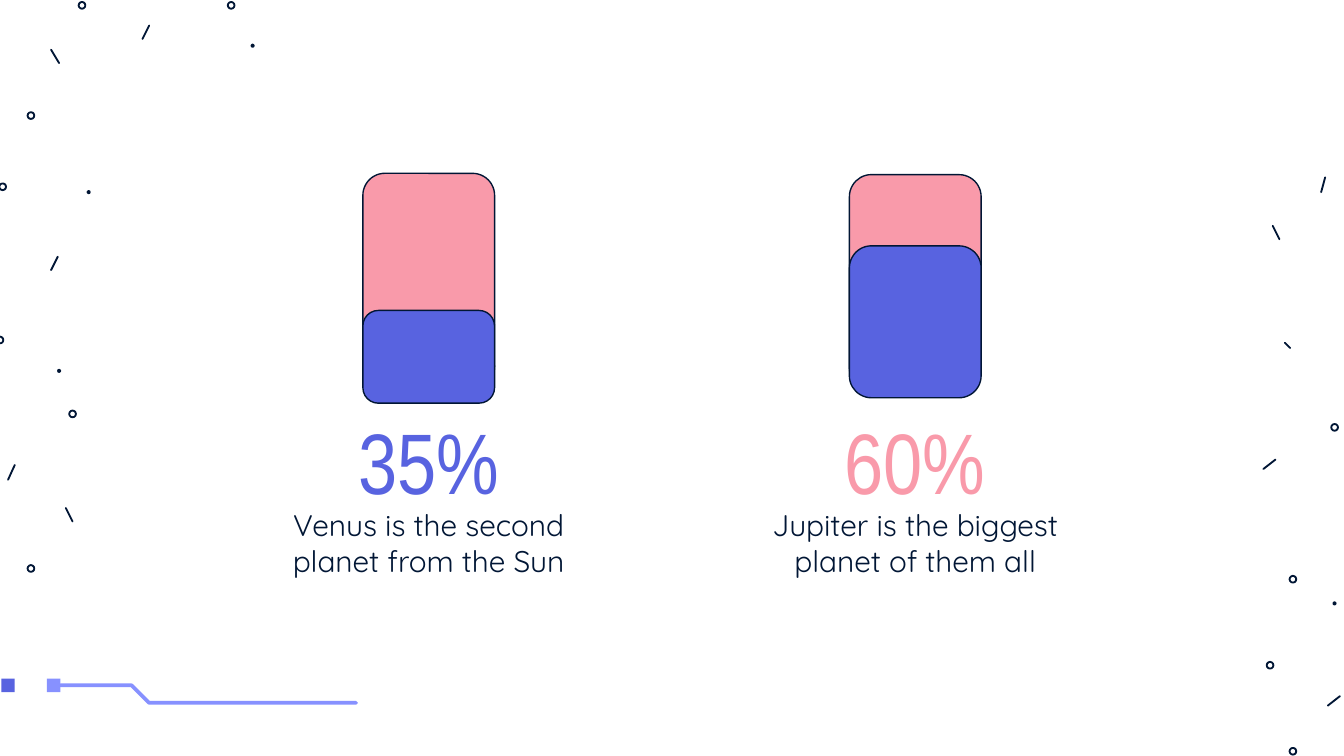
"""Build a slide that compares two planets with partly filled bars."""
import pptx
import pptx.dml.color
import pptx.enum.shapes
import pptx.enum.text
import pptx.oxml
import pptx.oxml.ns
import pptx.util

Inches = pptx.util.Inches
Pt = pptx.util.Pt
SHAPE = pptx.enum.shapes.MSO_SHAPE
COLORS = {
    "ink": "011635",
    "blue": "5863E0",
    "pink": "F99AAA",
    "lilac": "8791FF",
}


def style_shape(shape, fill=None, line=None, width=0.75):
    shape.shadow.inherit = False
    for part, color in ((shape.fill, fill), (shape.line.fill, line)):
        if color:
            part.solid()
            part.fore_color.rgb = pptx.dml.color.RGBColor.from_string(COLORS[color])
        else:
            part.background()
    if line:
        shape.line.width = Pt(width)


def write_text(placeholder, text, box, font, size, color):
    placeholder.left, placeholder.top, placeholder.width, placeholder.height = map(Inches, box)
    frame = placeholder.text_frame
    frame.margin_left = frame.margin_top = frame.margin_right = frame.margin_bottom = 0
    frame.word_wrap = True
    frame.auto_size = pptx.enum.text.MSO_AUTO_SIZE.NONE
    frame.vertical_anchor = pptx.enum.text.MSO_ANCHOR.TOP
    paragraph = frame.paragraphs[0]
    properties = paragraph._p.get_or_add_pPr()
    properties.set("marL", "0")
    properties.set("indent", "0")
    properties.append(pptx.oxml.parse_xml(f"<a:buNone {pptx.oxml.ns.nsdecls('a')}/>"))
    paragraph.alignment = pptx.enum.text.PP_ALIGN.CENTER
    paragraph.space_before = Pt(0)
    run = paragraph.add_run()
    run.text = text
    run.font.name = font
    run.font.size = Pt(size)
    run.font.bold = False
    run.font.color.rgb = pptx.dml.color.RGBColor.from_string(COLORS[color])


presentation = pptx.Presentation()
presentation.slide_width = Inches(10)
presentation.slide_height = Inches(10 * 9 / 16)
slide = presentation.slides.add_slide(presentation.slide_layouts[4])
shapes = slide.shapes
slots = {slot.placeholder_format.idx: slot for slot in slide.placeholders}

for left, color in ((0.35, "lilac"), (0.01, "blue")):
    square = shapes.add_shape(SHAPE.RECTANGLE, Inches(left), Inches(5.05), Inches(0.1), Inches(0.1))
    style_shape(square, fill=color)

circuit_builder = shapes.build_freeform(45, 510, scale=Inches(0.01))
circuit_builder.add_line_segments([(98, 510), (111, 523), (265, 523)], close=False)
circuit = circuit_builder.convert_to_shape()
style_shape(circuit, line="lilac", width=2)
circuit.line._get_or_add_ln().set("cap", "rnd")

dashes = [
    (9.4, 3.49, 9.49, 3.42), (9.83, 1.43, 9.86, 1.32), (9.47, 1.68, 9.52, 1.78),
    (9.56, 2.55, 9.6, 2.59), (9.88, 5.25, 9.97, 5.18), (0.38, 0.37, 0.44, 0.47),
    (0.38, 2.01, 0.43, 1.91), (0.49, 3.78, 0.54, 3.88), (0.06, 3.57, 0.11, 3.46),
    (1.06, 0.29, 1.11, 0.19),
]
for ends in dashes:
    dash = shapes.add_connector(pptx.enum.shapes.MSO_CONNECTOR.STRAIGHT, *map(Inches, ends))
    dash.line.color.rgb = pptx.dml.color.RGBColor.from_string(COLORS["ink"])
    dash.line.width = Pt(1)
    dash.line._get_or_add_ln().set("cap", "rnd")
    dash._element.spPr.append(pptx.oxml.parse_xml(f"<a:effectLst {pptx.oxml.ns.nsdecls('a')}/>"))

rings = [
    (9.93, 3.18), (9.62, 4.31), (9.45, 4.95), (9.62, 5.59), (0.23, 0.86), (0.54, 3.08),
    (0.23, 4.23), (0.02, 1.39), (0, 2.53), (0.61, 0.04), (1.72, 0.04),
]
dots = [(9.93, 4.49), (0.44, 2.76), (0.66, 1.43), (1.88, 0.34)]
for centers, size, style in (
    (rings, 0.05, {"line": "ink", "width": 1}),
    (dots, 0.03, {"fill": "ink"}),
):
    for x, y in centers:
        star = shapes.add_shape(
            SHAPE.OVAL, Inches(x - size / 2), Inches(y - size / 2), Inches(size), Inches(size))
        style_shape(star, **style)

planets = [
    (2.01, "35%", "blue", "Venus is the second planet from the Sun", 0, 1, (1.29, 2.31, 0.69)),
    (5.63, "60%", "pink", "Jupiter is the biggest planet of them all", 2, 3, (1.3, 1.83, 1.13)),
]
for left, percent, color, fact, percent_slot, fact_slot, (top, level_top, level) in planets:
    write_text(slots[percent_slot], percent, (left, 3.04, 2.36, 0.68),
               font="Arial Narrow", size=46, color=color)
    write_text(slots[fact_slot], fact, (left, 3.77, 2.36, 0.57),
               font="Quicksand", size=16, color="ink")
    for bar_top, height, fill in ((top, 1.6, "pink"), (level_top, level, "blue")):
        bar = shapes.add_shape(
            SHAPE.ROUNDED_RECTANGLE, Inches(left + 0.69), Inches(bar_top), Inches(0.98), Inches(height))
        style_shape(bar, fill=fill, line="ink")

unused = slots[4]._element
unused.getparent().remove(unused)

presentation.save("out.pptx")
